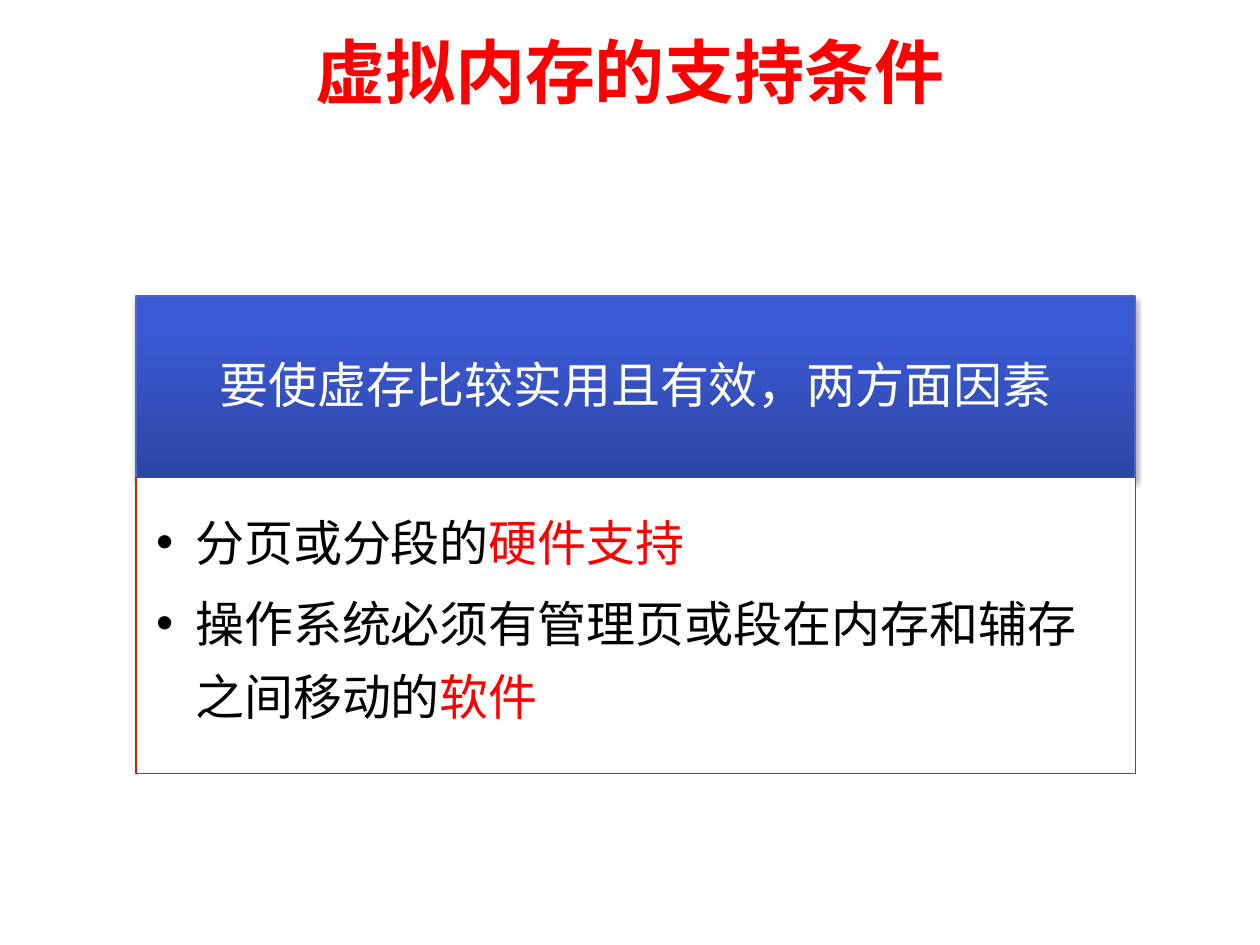
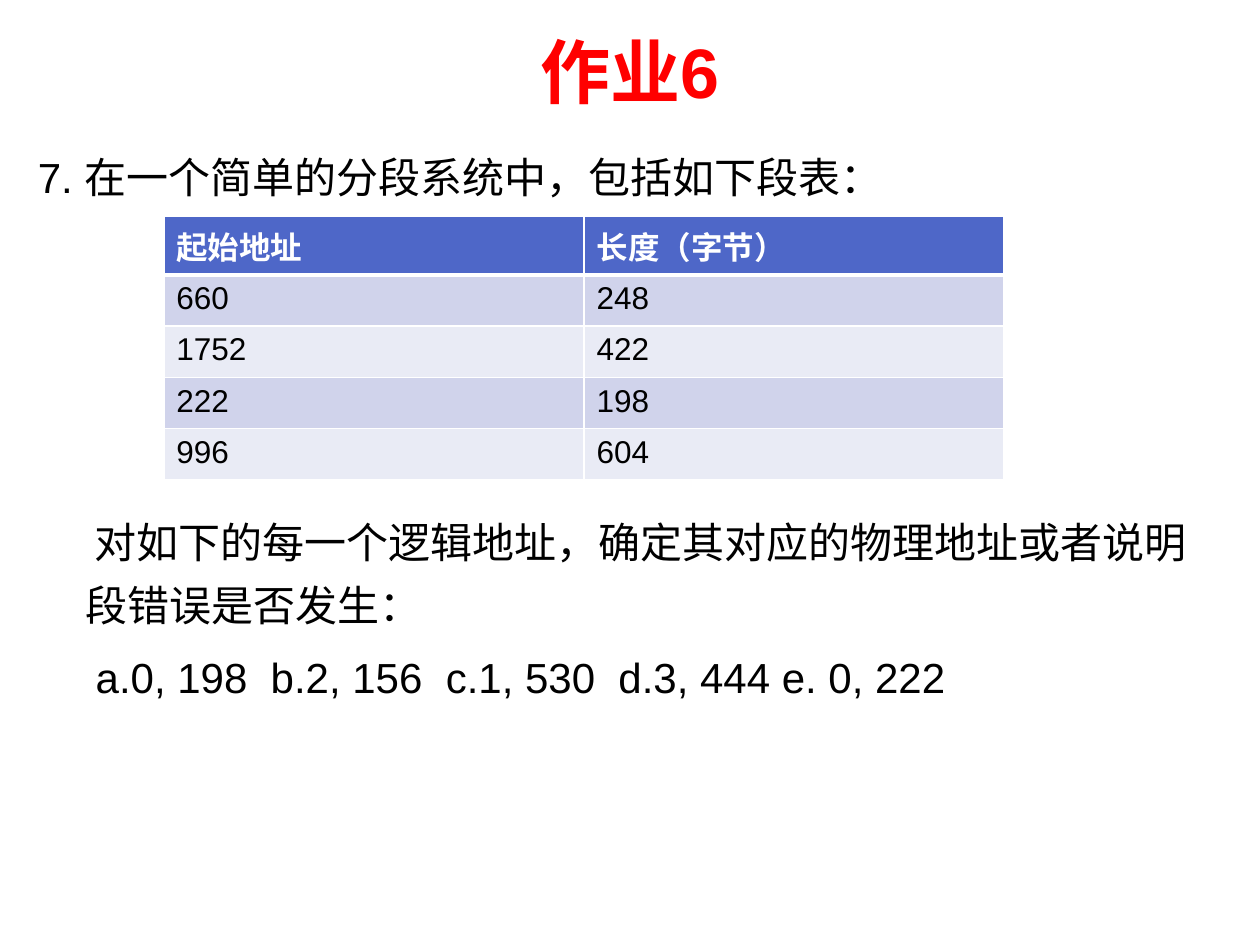
"""Build two lecture slides on virtual memory support and a segmentation exercise."""
import copy

import lxml.etree
import pptx
import pptx.dml.color
import pptx.enum.dml
import pptx.enum.shapes
import pptx.enum.text
import pptx.oxml
import pptx.oxml.ns
import pptx.util

Pt = pptx.util.Pt
qn = pptx.oxml.ns.qn
ALIGN = pptx.enum.text.PP_ALIGN
ANCHOR = pptx.enum.text.MSO_ANCHOR


def colour(code):
    return pptx.dml.color.RGBColor.from_string(code)


class Deck:
    FONT = "Arial"
    BLACK, WHITE, RED = "000000", "FFFFFF", "FF0000"
    BLUE, FRAME = "4E67C8", "C3260C"
    BANDS = ("D0D3EB", "E9EBF5")
    HEADER_GRADIENT = ((0, "2D45A3"), (0.8, "3A59D4"), (1, "3758D7"))
    COLUMNS, ROWS = 100, 75
    TITLE_AREA = (5, 0.5, 90, 10.2)

    def __init__(self):
        self.show = pptx.Presentation()
        self.show.slide_width = pptx.util.Inches(10)
        self.show.slide_height = pptx.util.Inches(7.5)
        self.slide = None

    def x(self, columns):
        return round(self.show.slide_width * columns / self.COLUMNS)

    def y(self, rows):
        return round(self.show.slide_height * rows / self.ROWS)

    def area(self, left, top, width, height):
        return self.x(left), self.y(top), self.x(width), self.y(height)

    def place(self, holder, area):
        holder.left, holder.top, holder.width, holder.height = self.area(*area)

    def add_runs(self, paragraph, runs, size, bold=False):
        for text, code in runs:
            run = paragraph.add_run()
            run.text = text
            run.font.name = self.FONT
            run.font.size = Pt(size)
            run.font.bold = bold
            run.font.color.rgb = colour(code)

    def insets(self, frame, left, top, right, bottom):
        frame.margin_left, frame.margin_right = self.x(left), self.x(right)
        frame.margin_top, frame.margin_bottom = self.y(top), self.y(bottom)

    def outline(self, shape, code):
        shape.line.color.rgb = colour(code)
        shape.line.width = Pt(0.75)

    def start(self, title):
        self.slide = self.show.slides.add_slide(self.show.slide_layouts[1])
        heading = self.slide.shapes.title
        self.place(heading, self.TITLE_AREA)
        heading.text_frame.vertical_anchor = ANCHOR.MIDDLE
        heading.text_frame.auto_size = pptx.enum.text.MSO_AUTO_SIZE.NONE
        paragraph = heading.text_frame.paragraphs[0]
        paragraph.alignment = ALIGN.CENTER
        self.add_runs(paragraph, [(title, self.RED)], 40, bold=True)

    def body(self, area, items, size):
        holder = self.slide.placeholders[1]
        self.place(holder, area)
        frame = holder.text_frame
        frame.vertical_anchor = ANCHOR.TOP
        frame.auto_size = pptx.enum.text.MSO_AUTO_SIZE.NONE
        for number, runs in enumerate(items):
            paragraph = frame.add_paragraph() if number else frame.paragraphs[0]
            self.add_runs(paragraph, runs, size)
        return holder

    def indent(self, paragraph, margin, first, bullet=False):
        properties = paragraph._p.get_or_add_pPr()
        properties.set("marL", str(self.x(margin)))
        properties.set("indent", str(self.x(first)))
        if not bullet:
            lxml.etree.SubElement(properties, qn("a:buNone"))

    def header(self, area, text):
        band = self.slide.shapes.add_shape(
            pptx.enum.shapes.MSO_SHAPE.RECTANGLE, *self.area(*area))
        band.fill.gradient()
        band.fill.gradient_angle = 90
        stop_list = band._element.spPr.find(".//" + qn("a:gsLst"))
        stop_list.append(copy.deepcopy(stop_list[0]))
        for stop, (position, code) in zip(band.fill.gradient_stops, self.HEADER_GRADIENT):
            stop.position = position
            stop.color.rgb = colour(code)
        self.outline(band, self.BLUE)
        self.shade(band)
        frame = band.text_frame
        frame.word_wrap = True
        frame.vertical_anchor = ANCHOR.MIDDLE
        self.insets(frame, 2.2, 1.2, 2.2, 1.2)
        paragraph = frame.paragraphs[0]
        paragraph.alignment = ALIGN.CENTER
        paragraph.line_spacing = 0.9
        self.add_runs(paragraph, [(text, self.WHITE)], 28)

    def shade(self, shape):
        shape.shadow.inherit = False
        effects = shape._element.spPr.find(qn("a:effectLst"))
        shadow = lxml.etree.SubElement(
            effects, qn("a:outerShdw"), blurRad=str(Pt(3.1)), dist=str(Pt(1.8)),
            dir="5400000", rotWithShape="0")
        tint = lxml.etree.SubElement(shadow, qn("a:srgbClr"), val=self.BLACK)
        lxml.etree.SubElement(tint, qn("a:alpha"), val="35000")

    def border(self, cell, side, width):
        line = lxml.etree.SubElement(
            cell._tc.get_or_add_tcPr(), qn("a:ln" + side), w=str(Pt(width)))
        fill = lxml.etree.SubElement(line, qn("a:solidFill"))
        lxml.etree.SubElement(fill, qn("a:srgbClr"), val=self.WHITE)

    def table(self, area, records):
        grid = self.slide.shapes.add_table(
            len(records), len(records[0]), *self.area(*area)).table
        for row, record in enumerate(records):
            heading = row == 0
            for column, text in enumerate(record):
                cell = grid.cell(row, column)
                for side in "LRTB":
                    under_heading = (row, side) in ((0, "B"), (1, "T"))
                    self.border(cell, side, 3 if under_heading else 1)
                cell.fill.solid()
                cell.fill.fore_color.rgb = colour(
                    self.BLUE if heading else self.BANDS[(row - 1) % 2])
                self.add_runs(cell.text_frame.paragraphs[0],
                              [(text, self.WHITE if heading else self.BLACK)], 18, heading)


def support_conditions(deck):
    deck.start("虚拟内存的支持条件")
    deck.header((10.8, 23.5, 79.3, 14.5), "要使虚存比较实用且有效，两方面因素")
    factors = deck.body((10.8, 37.9, 79.3, 23.5), [
        [("分页或分段的", deck.BLACK), ("硬件支持", deck.RED)],
        [("操作系统必须有管理页或段在内存和辅存之间移动的", deck.BLACK), ("软件", deck.RED)],
    ], 28)
    factors.fill.solid()
    factors.fill.fore_color.rgb = colour(deck.WHITE)
    deck.outline(factors, deck.FRAME)
    deck.insets(factors.text_frame, 1.6, 1.6, 2.2, 2.4)
    for factor in factors.text_frame.paragraphs:
        deck.indent(factor, 3.1, -3.1, bullet=True)
        factor.line_spacing = 1.25
        factor.space_before = Pt(0)
        factor.space_after = Pt(4.2)
    deck.slide.shapes._spTree.append(factors._element)


def homework(deck):
    deck.start("作业6")
    exercise = deck.body((2, 11.5, 96.1, 56.7), [
        [("7. 在一个简单的分段系统中，包括如下段表：", deck.BLACK)],
        [("对如下的每一个逻辑地址，确定其对应的物理地址或者说明段错误是否发生：", deck.BLACK)],
        [("a.0, 198  b.2, 156  c.1, 530  d.3, 444 e. 0, 222", deck.BLACK)],
    ], 24)
    opening, task, addresses = exercise.text_frame.paragraphs
    task.line_spacing = addresses.line_spacing = 1.25
    task.space_before = Pt(173)
    deck.indent(opening, 0, 0)
    deck.indent(task, 3.8, 0.7)
    deck.indent(addresses, 3.8, 0.8)
    deck.table((13, 17.2, 66.7, 20.3), [
        ("起始地址", "长度（字节）"),
        ("660", "248"),
        ("1752", "422"),
        ("222", "198"),
        ("996", "604"),
    ])


def main():
    deck = Deck()
    support_conditions(deck)
    homework(deck)
    deck.show.save("out.pptx")


if __name__ == "__main__":
    main()
